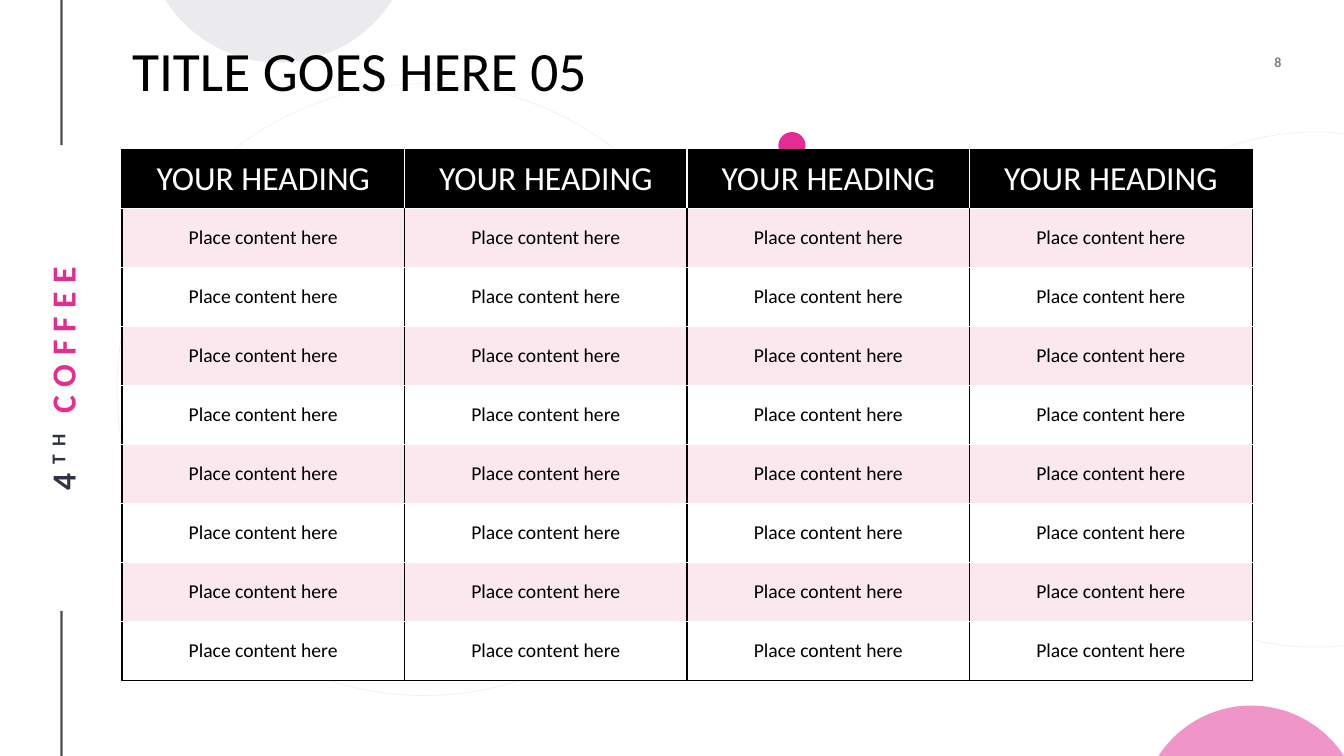
"""Build a titled table slide with a rotated name and circle decorations."""
from math import asin, cos, pi, sin

from pptx import Presentation
from pptx.dml.color import RGBColor
from pptx.enum.dml import MSO_LINE
from pptx.enum.shapes import MSO_CONNECTOR, MSO_SHAPE
from pptx.enum.text import MSO_ANCHOR, MSO_AUTO_SIZE, PP_ALIGN
from pptx.oxml.ns import qn
from pptx.util import Inches, Pt
from lxml.etree import SubElement

COLORS = {
    "black": "000000", "white": "FFFFFF", "pink": "E32D91",
    "blush": "FAE8EE", "slate": "2F3342", "gray": "D8D9DC",
}
FONT = "Calibri"
WIDTH, HEIGHT = 13.33, 7.5
TITLE = "TITLE GOES HERE 05"
TITLE_BOX = (1.21, 0.4, 11.21, 0.66)
COLUMNS, BODY_ROWS = 4, 8
TABLE_ROWS = [["YOUR HEADING"] * COLUMNS] + [["Place content here"] * COLUMNS] * BODY_ROWS
TABLE_BOX = (1.21, 1.48, 11.21, 5.27)
NAME_BOX = (-1.69, 3.53, 4.61, 0.45)
NAME_RUNS = [("4", "slate", 0), ("TH ", "slate", 30000), ("COFFEE", "pink", 0)]
NUMBER_BOX = (11.94, 0.48, 0.77, 0.27)
RULE_X = 0.61
RULES = [(6.06, HEIGHT), (0, 1.44)]
RINGS = [(10.47, 1.31, 5.14, 5.11), (1.16, 0.83, 6.1, 6.07)]
DOT = (7.72, 1.31, 0.27, 0.27)
CAPS = [
    {"center": 12.41, "half": 0.92, "edge": HEIGHT, "rise": -0.5, "color": "pink"},
    {"center": 2.765, "half": 1.125, "edge": 0, "rise": 0.62, "color": "gray"},
]
ARC_STEPS = 60


def rgb(name):
    return RGBColor.from_string(COLORS[name])


def inches(box):
    return [Inches(value) for value in box]


def set_alpha(shape, percent):
    for color in shape.element.iter(qn("a:srgbClr")):
        SubElement(color, qn("a:alpha")).set("val", str(percent * 1000))


def format_font(font, size, color, bold=False):
    for name, value in {"name": FONT, "size": Pt(size), "bold": bold}.items():
        setattr(font, name, value)
    font.color.rgb = rgb(color)


def format_frame(frame, inset):
    values = {
        "word_wrap": True, "auto_size": MSO_AUTO_SIZE.NONE,
        "vertical_anchor": MSO_ANCHOR.MIDDLE,
    }
    values.update({f"margin_{side}": Inches(inset) for side in ("left", "top", "right", "bottom")})
    for name, value in values.items():
        setattr(frame, name, value)


def add_rule(slide, top, bottom):
    rule = slide.shapes.add_connector(
        MSO_CONNECTOR.STRAIGHT, *inches((RULE_X, top, RULE_X, bottom)))
    rule.line.color.rgb = rgb("black")
    rule.line.width = Pt(1.5)
    SubElement(rule.element.spPr, qn("a:effectLst"))
    set_alpha(rule, 70)


def add_ellipse(slide, box):
    ellipse = slide.shapes.add_shape(MSO_SHAPE.OVAL, *inches(box))
    ellipse.shadow.inherit = False
    return ellipse


def add_ring(slide, box):
    ring = add_ellipse(slide, box)
    ring.fill.background()
    ring.line.color.rgb = rgb("black")
    ring.line.width = Pt(0.5)
    ring.line.dash_style = MSO_LINE.ROUND_DOT
    set_alpha(ring, 10)


def add_dot(slide, box):
    dot = add_ellipse(slide, box)
    dot.fill.solid()
    dot.fill.fore_color.rgb = rgb("pink")
    dot.line.fill.background()


def add_cap(slide, center, half, edge, rise, color):
    depth = abs(rise)
    radius = (half ** 2 + depth ** 2) / (2 * depth)
    spread = asin(half / radius)
    direction = rise / depth
    points = []
    for step in range(ARC_STEPS + 1):
        angle = spread * (2 * step / ARC_STEPS - 1)
        lift = radius * cos(angle) - (radius - depth)
        points.append(inches((center + radius * sin(angle), edge + direction * lift)))
    builder = slide.shapes.build_freeform(*points[0])
    builder.add_line_segments(points[1:], close=True)
    cap = builder.convert_to_shape()
    cap.shadow.inherit = False
    cap.fill.solid()
    cap.fill.fore_color.rgb = rgb(color)
    cap.line.fill.background()
    set_alpha(cap, 50)


def add_name(slide):
    box = slide.shapes.add_textbox(*inches(NAME_BOX))
    box.rotation = 270
    format_frame(box.text_frame, 0.02)
    paragraph = box.text_frame.paragraphs[0]
    paragraph.alignment = PP_ALIGN.CENTER
    for text, color, baseline in NAME_RUNS:
        run = paragraph.add_run()
        run.text = text
        format_font(run.font, 24, color, True)
        properties = run.font._element
        properties.set("spc", "600")
        properties.set("baseline", str(baseline))


def add_number(slide):
    box = slide.shapes.add_textbox(*inches(NUMBER_BOX))
    format_frame(box.text_frame, 0)
    paragraph = box.text_frame.paragraphs[0]
    paragraph.alignment = PP_ALIGN.RIGHT
    run = paragraph.add_run()
    run.text = "8"
    format_font(run.font, 10, "black", True)
    set_alpha(box, 50)


def place_title(slide):
    title = slide.shapes.title
    title.left, title.top, title.width, title.height = inches(TITLE_BOX)
    frame = title.text_frame
    frame.text = TITLE
    frame.auto_size = MSO_AUTO_SIZE.NONE
    frame.vertical_anchor = MSO_ANCHOR.MIDDLE
    paragraph = frame.paragraphs[0]
    paragraph.alignment = PP_ALIGN.LEFT
    paragraph.line_spacing = 0.9
    format_font(paragraph.runs[0].font, 39.6, "black")
    title.element.getparent().append(title.element)


def add_borders(cell, row, column):
    black_sides = {
        "L": row > 0 or column == 0,
        "R": row > 0 or column == COLUMNS - 1,
        "T": row == 0,
        "B": row == BODY_ROWS,
    }
    properties = cell._tc.get_or_add_tcPr()
    for side, is_black in black_sides.items():
        line = SubElement(properties, qn(f"a:ln{side}"), w=str(Pt(1)))
        fill = SubElement(line, qn("a:solidFill"))
        SubElement(fill, qn("a:srgbClr"), val=COLORS["black" if is_black else "white"])


def add_content_table(slide):
    table = slide.shapes.add_table(len(TABLE_ROWS), COLUMNS, *inches(TABLE_BOX)).table
    table.first_row = table.horz_banding = False
    for row, texts in enumerate(TABLE_ROWS):
        table.rows[row].height = Inches(TABLE_BOX[3] / len(TABLE_ROWS))
        fill = "black" if row == 0 else "blush" if row % 2 else "white"
        size, color = (24, "white") if row == 0 else (14, "black")
        for column, text in enumerate(texts):
            cell = table.cell(row, column)
            cell.text = text
            cell.vertical_anchor = MSO_ANCHOR.MIDDLE
            cell.margin_left = cell.margin_right = Inches(0.07)
            cell.margin_top = cell.margin_bottom = Inches(0.04)
            add_borders(cell, row, column)
            cell.fill.solid()
            cell.fill.fore_color.rgb = rgb(fill)
            paragraph = cell.text_frame.paragraphs[0]
            paragraph.alignment = PP_ALIGN.CENTER
            format_font(paragraph.runs[0].font, size, color)


def main():
    presentation = Presentation()
    presentation.slide_width, presentation.slide_height = inches((WIDTH, HEIGHT))
    slide = presentation.slides.add_slide(presentation.slide_layouts[5])
    for top, bottom in RULES:
        add_rule(slide, top, bottom)
    add_name(slide)
    add_number(slide)
    for ring in RINGS:
        add_ring(slide, ring)
    add_dot(slide, DOT)
    for cap in CAPS:
        add_cap(slide, **cap)
    place_title(slide)
    add_content_table(slide)
    presentation.save("out.pptx")


if __name__ == "__main__":
    main()
